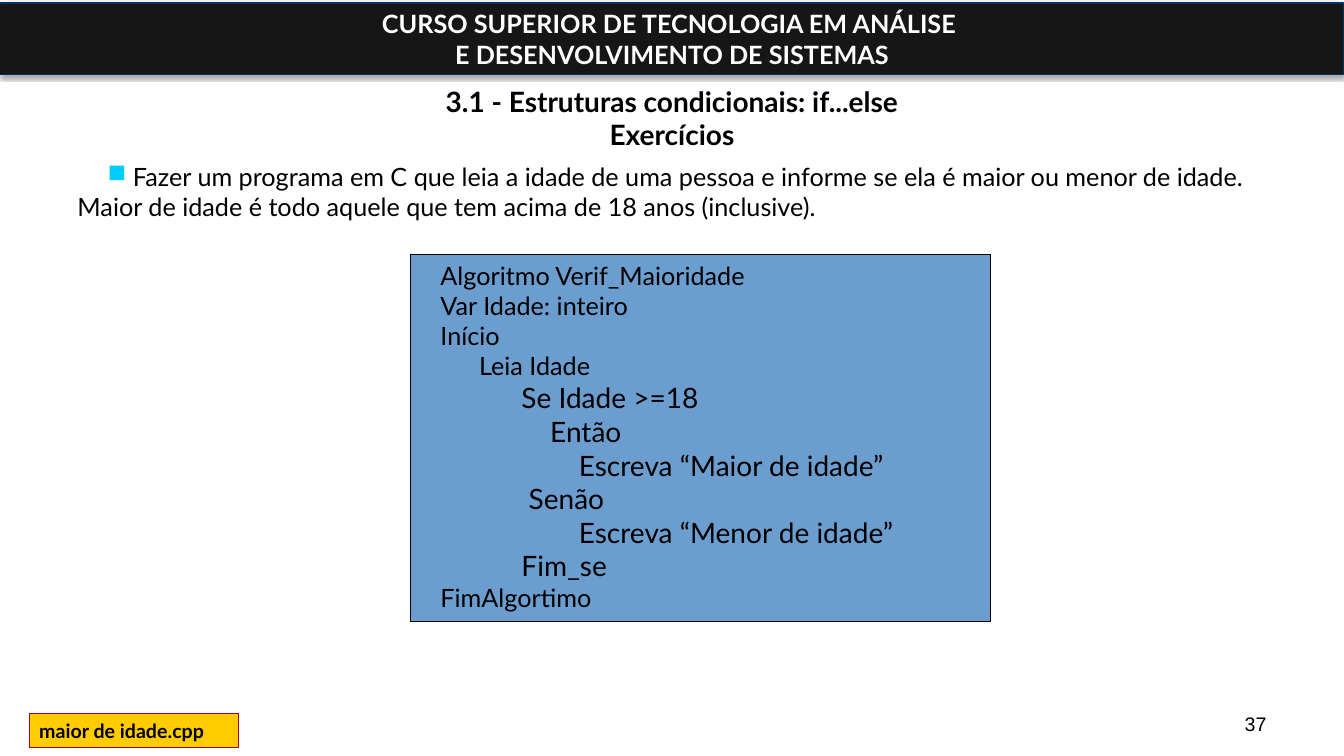
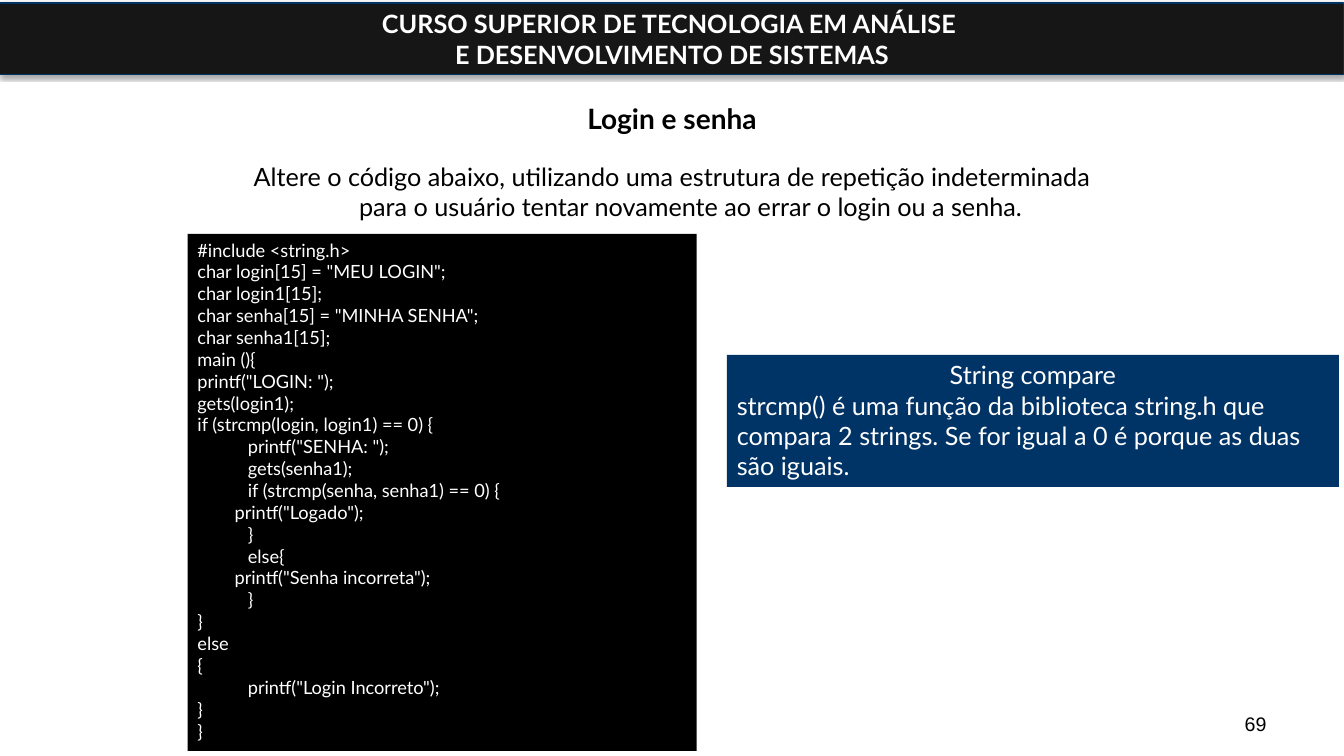
from lxml import etree
from pptx import Presentation
from pptx.dml.color import RGBColor
from pptx.enum.text import MSO_ANCHOR, MSO_AUTO_SIZE, PP_ALIGN
from pptx.enum.shapes import MSO_SHAPE
from pptx.oxml.ns import qn
from pptx.util import Emu, Inches, Pt

LEFT, CENTER, RIGHT = PP_ALIGN.LEFT, PP_ALIGN.CENTER, PP_ALIGN.RIGHT
TOP, MIDDLE, BOTTOM = MSO_ANCHOR.TOP, MSO_ANCHOR.MIDDLE, MSO_ANCHOR.BOTTOM
RECTANGLE = MSO_SHAPE.RECTANGLE

THEME = {
    "font": "Lato", "number_font": "Arial",
    "ink": "000000", "paper": "FFFFFF",
    "band": "161616", "band_line": "003264",
    "label": "FFCC00", "label_line": "A50021",
    "algorithm": "6B9DCF", "note": "003366", "bullet": "00CCFF",
    "heading": 20, "body": 18, "small": 14, "code": 13,
}
WIDTH, HEIGHT = 13.33, 7.5
MARGIN = 0.67
CONTENT_WIDTH = WIDTH - 2 * MARGIN
BODY_TOP = 1.55

BAND_LINES = ["CURSO SUPERIOR DE TECNOLOGIA EM ANÁLISE ", "E DESENVOLVIMENTO DE SISTEMAS"]

EXERCISE = {
    "title": ["3.1 - Estruturas condicionais: if...else", "Exercícios"],
    "number": "37",
    "task": " Fazer um programa em C que leia a idade de uma pessoa e informe se ela é maior "
            "ou menor de idade. Maior de idade é todo aquele que tem acima de 18 anos (inclusive).",
    "file": "maior de idade.cpp",
    "algorithm": [
        (0, "Algoritmo Verif_Maioridade"),
        (0, "Var Idade: inteiro"),
        (0, "Início"),
        (0, "      Leia Idade"),
        (1, "   Se Idade >=18"),
        (1, "       Então"),
        (1, "           Escreva “Maior de idade”"),
        (1, "    Senão"),
        (1, "           Escreva “Menor de idade”"),
        (1, "   Fim_se"),
        (0, "FimAlgortimo"),
    ],
}
ALGORITHM_LEVELS = [(0.2, THEME["body"]), (0.79, THEME["heading"])]

LOGIN = {
    "title": ["Login e senha"],
    "number": "69",
    "task": "Altere o código abaixo, utilizando uma estrutura de repetição indeterminada "
            "para o usuário tentar novamente ao errar o login ou a senha.",
    "code": """#include <string.h>
char login[15] = "MEU LOGIN";
char login1[15];
char senha[15] = "MINHA SENHA";
char senha1[15];
main (){
printf("LOGIN: ");
gets(login1);
if (strcmp(login, login1) == 0) {
\tprintf("SENHA: ");
\tgets(senha1);
\tif (strcmp(senha, senha1) == 0) {
        printf("Logado");
\t}
\telse{
        printf("Senha incorreta");
\t}
}
else
{
\tprintf("Login Incorreto");
}
}""".split("\n"),
    "note_title": "String compare",
    "note": "strcmp() é uma função da biblioteca string.h que compara 2 strings. "
            "Se for igual a 0 é porque as duas são iguais.",
}


def color(name):
    return RGBColor.from_string(THEME[name])


def place(shape, left, top, width, height):
    shape.left, shape.top = Inches(left), Inches(top)
    shape.width, shape.height = Inches(width), Inches(height)


def prepare(shape, anchor):
    frame = shape.text_frame
    frame.word_wrap = True
    frame.auto_size = MSO_AUTO_SIZE.NONE
    frame.vertical_anchor = anchor
    return frame


def add_run(paragraph, text, size, ink="ink", bold=False, font="font"):
    run = paragraph.add_run()
    run.text = text
    run.font.name = THEME[font]
    run.font.size = Pt(size)
    run.font.bold = bold
    run.font.color.rgb = color(ink)


def indent(paragraph, margin, first_line):
    properties = paragraph._p.get_or_add_pPr()
    properties.set("marL", str(Inches(margin)))
    properties.set("indent", str(Inches(first_line)))
    return properties


def write(frame, lines, align=LEFT, size=THEME["body"], **style):
    for index, line in enumerate(lines):
        paragraph = frame.add_paragraph() if index else frame.paragraphs[0]
        paragraph.alignment = align
        add_run(paragraph, line, size, **style)


def add_text(slide, box, lines, anchor=TOP, **style):
    area = slide.shapes.add_textbox(*map(Inches, box))
    frame = prepare(area, anchor)
    write(frame, lines, **style)
    return frame


def add_panel(slide, box, fill, line=None, anchor=TOP):
    panel = slide.shapes.add_shape(RECTANGLE, *map(Inches, box))
    panel.shadow.inherit = False
    panel.fill.solid()
    panel.fill.fore_color.rgb = color(fill)
    if line:
        panel.line.color.rgb = color(line)
        panel.line.width = Pt(0.75)
    else:
        panel.line.fill.background()
    return panel, prepare(panel, anchor)


def add_band(slide, layout):
    band, frame = add_panel(slide, (0, 0.03, WIDTH, 0.71), "band", "band_line", MIDDLE)
    write(frame, BAND_LINES, CENTER, ink="paper", bold=True)
    effects = band.element.spPr.find(qn("a:effectLst"))
    shadow = etree.SubElement(effects, qn("a:outerShdw"), blurRad=str(Pt(3.1)),
                              dist=str(Pt(1.8)), dir="5400000", rotWithShape="0")
    tint = etree.SubElement(shadow, qn("a:srgbClr"), val=THEME["ink"])
    etree.SubElement(tint, qn("a:alpha"), val="35000")
    layout.element.cSld.spTree.insert(2, band.element)


def start_slide(deck, layout, content):
    slide = deck.slides.add_slide(layout)
    title = slide.shapes.title
    place(title, MARGIN, 0.42, CONTENT_WIDTH, 1.5)
    paragraph = prepare(title, MIDDLE).paragraphs[0]
    paragraph.alignment = CENTER
    for index, line in enumerate(content["title"]):
        if index:
            paragraph.add_line_break()
        add_run(paragraph, line, THEME["heading"], bold=True)
    add_text(slide, (WIDTH - MARGIN - 3.11, 6.83, 3.11, 0.52), [content["number"]],
             BOTTOM, align=RIGHT, size=THEME["small"], font="number_font")
    return slide


def build_exercise(slide):
    task = add_text(slide, (MARGIN, BODY_TOP, CONTENT_WIDTH, 0.87), [EXERCISE["task"]])
    properties = indent(task.paragraphs[0], 0, 0.3)
    bullet_color = etree.SubElement(properties, qn("a:buClr"))
    etree.SubElement(bullet_color, qn("a:srgbClr"), val=THEME["bullet"])
    etree.SubElement(properties, qn("a:buChar"), char="■")

    label = add_panel(slide, (0.29, 7.08, 2.08, 0.34), "label", "label_line")[1]
    write(label, [EXERCISE["file"]], size=THEME["small"], bold=True)

    algorithm = add_panel(slide, (4.07, 2.53, 5.75, 3.64), "algorithm", "ink")[1]
    write(algorithm, [step for _, step in EXERCISE["algorithm"]])
    for paragraph, (level, _) in zip(algorithm.paragraphs, EXERCISE["algorithm"]):
        margin, size = ALGORITHM_LEVELS[level]
        paragraph.level = level
        indent(paragraph, margin, 0)
        paragraph.runs[0].font.size = Pt(size)


def build_login(slide):
    task = add_text(slide, ((WIDTH - 9) / 2, BODY_TOP, 9, 0.87), [LOGIN["task"]], align=CENTER)
    indent(task.paragraphs[0], 0.37, -0.37)

    code = add_panel(slide, (1.86, 2.32, 5.05, 5.13), "ink")[1]
    write(code, LOGIN["code"], size=THEME["code"], ink="paper")

    note = add_panel(slide, (7.21, 3.52, 6.07, 1.31), "note")[1]
    write(note, [LOGIN["note_title"], LOGIN["note"]], ink="paper")
    note.paragraphs[0].alignment = CENTER


def main():
    deck = Presentation()
    deck.slide_width, deck.slide_height = Emu(Inches(WIDTH)), Emu(Inches(HEIGHT))
    layout = deck.slide_layouts[5]
    exercise = start_slide(deck, layout, EXERCISE)
    add_band(exercise, layout)
    build_exercise(exercise)
    build_login(start_slide(deck, layout, LOGIN))
    deck.save("out.pptx")


if __name__ == "__main__":
    main()
